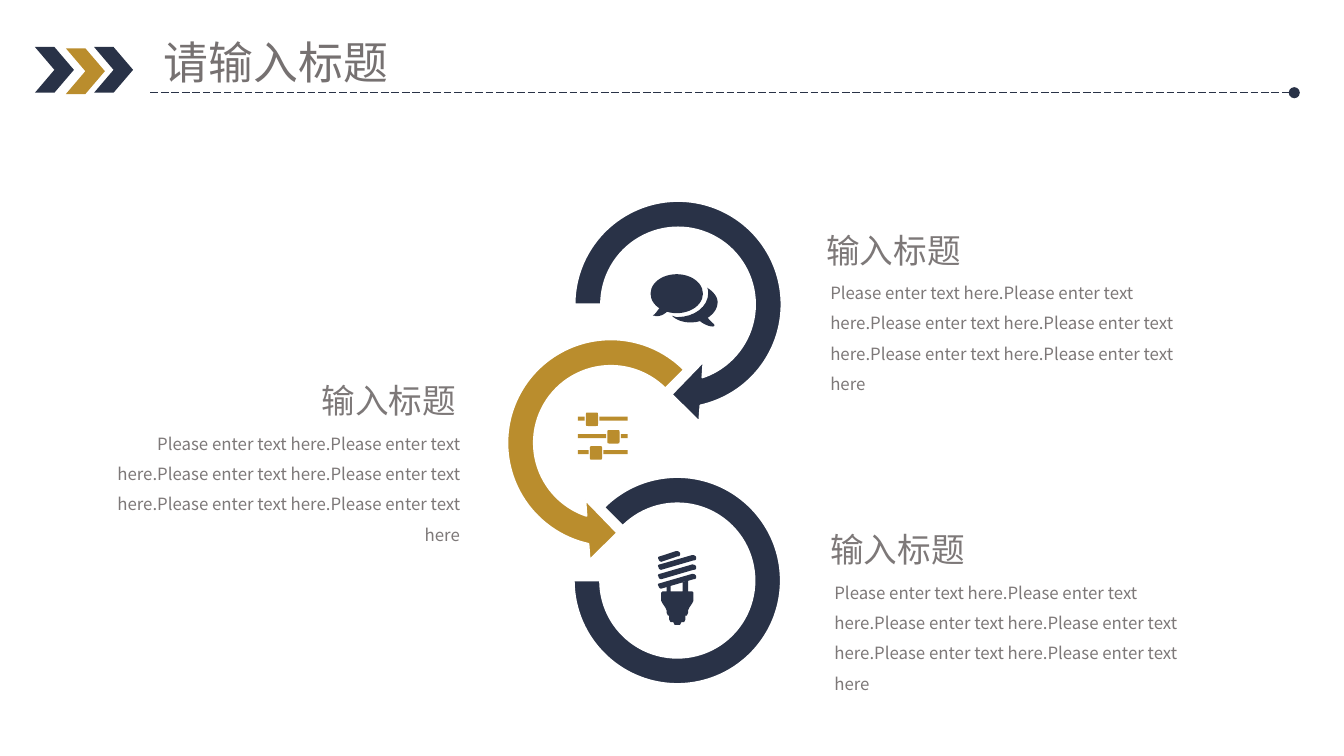
import pptx
import pptx.util
import pptx.dml.color
import pptx.enum.dml
import pptx.enum.shapes
import pptx.enum.text
import pptx.oxml.ns
from lxml import etree

Inches = pptx.util.Inches
SHAPE = pptx.enum.shapes.MSO_SHAPE
ALIGN = pptx.enum.text.PP_ALIGN
qn = pptx.oxml.ns.qn

COLORS = {"navy": "293247", "gold": "BA8D2D", "white": "FFFFFF",
          "title": "767171", "text": "7D7878"}
FONT = "Noto Sans CJK SC"

TITLE = "请输入标题"
HEADING = "输入标题"
BODY = "Please enter text here." * 5 + "Please enter text here"
ITEMS = [(6.05, 1.51, ALIGN.LEFT), (6.08, 3.74, ALIGN.LEFT), (0.49, 2.63, ALIGN.RIGHT)]

CHEVRONS = [(0.49, 0.36, "gold"), (0.7, 0.35, "navy"), (0.26, 0.35, "navy")]
RINGS = [
    (SHAPE.CIRCULAR_ARROW, 4.15, 1.37, 1.79, "navy", (0.11, 11.42, 45, 108, 0.125)),
    (SHAPE.LEFT_CIRCULAR_ARROW, 3.65, 2.4, 1.79, "gold", (0.11, 11.42, 63, 189, 0.125)),
    (SHAPE.BLOCK_ARC, 4.27, 3.55, 1.54, "navy", (135, 108, 0.127)),
]

BACK_BUBBLE = [(5.26, 2.14), (5.27, 2.15, 5.27, 2.17, 5.27, 2.18),
               (5.27, 2.28, 5.17, 2.36, 5.04, 2.36), (5.02, 2.36, 5.01, 2.35, 5, 2.35),
               (5.03, 2.38, 5.08, 2.4, 5.14, 2.4), (5.25, 2.4, 5.34, 2.33, 5.34, 2.25),
               (5.34, 2.21, 5.31, 2.17, 5.26, 2.14)]
FRONT_TAIL = [(4.93, 2.26), (4.91, 2.29, 4.88, 2.33, 4.87, 2.34),
              (4.85, 2.35, 4.86, 2.35, 4.87, 2.35), (4.89, 2.36, 4.95, 2.35, 4.99, 2.29),
              (5.03, 2.23, 4.93, 2.26, 4.93, 2.26)]
BACK_TAIL = [(5.25, 2.33), (5.26, 2.37, 5.3, 2.4, 5.31, 2.41),
             (5.32, 2.42, 5.32, 2.43, 5.3, 2.43), (5.29, 2.43, 5.23, 2.42, 5.19, 2.37),
             (5.15, 2.31, 5.25, 2.33, 5.25, 2.33)]

SLIDERS = [(4.36, 3.1), (4.52, 3.23), (4.39, 3.35)]
RAIL_LEFT, RAIL_RIGHT = 4.3, 4.67

BULB_CENTER = 5.04
BULB_PROFILE = [(0.11, 4.4), (0.12, 4.41), (0.12, 4.47), (0.11, 4.49), (0.09, 4.52),
                (0.08, 4.54), (0.08, 4.56), (0.07, 4.58), (0.06, 4.58), (0.06, 4.61),
                (0.05, 4.63), (0.03, 4.63), (0.02, 4.65)]
BULB_LEGS = [[(4.96, 4.37), (4.99, 4.36), (4.99, 4.4), (4.96, 4.4)],
             [(5.08, 4.33), (5.12, 4.32), (5.12, 4.4), (5.08, 4.4)]]


def rgb(name):
    return pptx.dml.color.RGBColor.from_string(COLORS[name])


def paint(sp, color, outline=None):
    sp.shadow.inherit = False
    sp.fill.solid()
    sp.fill.fore_color.rgb = rgb(color)
    if outline:
        sp.line.color.rgb = rgb(outline)
        sp.line.width = pptx.util.Pt(1)
    else:
        sp.line.fill.background()


def add_preset(shapes, kind, x, y, w, h, color, outline=None, adj=()):
    sp = shapes.add_shape(kind, Inches(x), Inches(y), Inches(w), Inches(h))
    for i, value in enumerate(adj):
        sp.adjustments[i] = value
    paint(sp, color, outline)


def flatten(contour, steps=8):
    points = [contour[0]]
    for seg in contour[1:]:
        if len(seg) == 2:
            points.append(seg)
            continue
        (x0, y0), (x1, y1, x2, y2, x3, y3) = points[-1], seg
        for i in range(1, steps + 1):
            t = i / steps
            u = 1 - t
            a, b, c, d = u ** 3, 3 * u * u * t, 3 * u * t * t, t ** 3
            points.append((a * x0 + b * x1 + c * x2 + d * x3,
                           a * y0 + b * y1 + c * y2 + d * y3))
    return [(Inches(x), Inches(y)) for x, y in points]


def add_outline(shapes, contours, color):
    first, *rest = [flatten(c) for c in contours]
    fb = shapes.build_freeform(*first[0], scale=1.0)
    fb.add_line_segments(first[1:], close=True)
    for points in rest:
        fb.move_to(*points[0])
        fb.add_line_segments(points[1:], close=True)
    paint(fb.convert_to_shape(), color)


def rect(x0, y0, x1, y1):
    return [(x0, y0), (x1, y0), (x1, y1), (x0, y1)]


def rounded(x0, y0, x1, y1, r=0.02):
    return [(x0 + r, y0), (x1 - r, y0), (x1, y0, x1, y0, x1, y0 + r),
            (x1, y1 - r), (x1, y1, x1, y1, x1 - r, y1),
            (x0 + r, y1), (x0, y1, x0, y1, x0, y1 - r),
            (x0, y0 + r), (x0, y0, x0, y0, x0 + r, y0)]


def coil(y, right=5.15, rise=0.07):
    low = y + rise
    return [(right, y), (4.91, low), (4.9, low, 4.89, low + 0.01, 4.9, low + 0.02),
            (4.9, low + 0.03, 4.91, low + 0.04, 4.92, low + 0.04),
            (right + 0.01, y + 0.04),
            (right + 0.03, y + 0.04, right + 0.03, y + 0.03, right + 0.03, y + 0.02),
            (right + 0.03, y + 0.01, right + 0.02, y, right, y)]


def write(sp, text, size, color, align=ALIGN.LEFT, spacing=1.0, wrap=True):
    tf = sp.text_frame
    tf.word_wrap = wrap
    tf.auto_size = pptx.enum.text.MSO_AUTO_SIZE.SHAPE_TO_FIT_TEXT
    tf.vertical_anchor = pptx.enum.text.MSO_ANCHOR.TOP
    p = tf.paragraphs[0]
    p.alignment = align
    p.line_spacing = spacing
    r = p.add_run()
    r.text = text
    r.font.size = pptx.util.Pt(size)
    r.font.color.rgb = rgb(color)
    r.font.name = FONT
    etree.SubElement(r.font._element, qn("a:ea")).set("typeface", FONT)


prs = pptx.Presentation()
prs.slide_width = Inches(10)
prs.slide_height = prs.slide_width * 9 // 16
s = prs.slides.add_slide(prs.slide_layouts[5])

title = s.shapes.title
title.left, title.top, title.width, title.height = map(Inches, (1.12, 0.21, 1.87, 0.5))
write(title, TITLE, 24, "title", wrap=False)

for x, y, color in CHEVRONS:
    add_preset(s.shapes, SHAPE.CHEVRON, x, y, 0.29, 0.34, color)

rule = s.shapes.add_connector(pptx.enum.shapes.MSO_CONNECTOR.STRAIGHT,
                              Inches(1.12), Inches(0.69), Inches(9.63), Inches(0.69))
rule.line.color.rgb = rgb("navy")
rule.line.width = pptx.util.Pt(0.5)
rule.line.dash_style = pptx.enum.dml.MSO_LINE.LONG_DASH
etree.SubElement(rule.line._get_or_add_ln(), qn("a:tailEnd")).set("type", "oval")
etree.SubElement(rule._element.spPr, qn("a:effectLst"))

for kind, x, y, size, color, adj in RINGS:
    add_preset(s.shapes, kind, x, y, size, size, color, "white", adj)

bubbles = s.shapes.add_group_shape().shapes
add_outline(bubbles, [BACK_BUBBLE], "navy")
add_preset(bubbles, SHAPE.OVAL, 4.84, 2.04, 0.39, 0.29, "navy")
for tail in (FRONT_TAIL, BACK_TAIL):
    add_outline(bubbles, [tail], "navy")

bulb = s.shapes.add_group_shape().shapes
base = [(BULB_CENTER + dx, y) for dx, y in BULB_PROFILE]
base += [(BULB_CENTER - dx, y) for dx, y in reversed(BULB_PROFILE)]
add_outline(bulb, [coil(4.27), *BULB_LEGS, base], "navy")
for y in (4.2, 4.13):
    add_outline(bulb, [coil(y)], "navy")
add_outline(bulb, [coil(4.1, right=5.03, rise=0.04)], "navy")

sliders = []
for x, y in SLIDERS:
    sliders += [rect(RAIL_LEFT, y, x - 0.01, y + 0.03),
                rounded(x, y - 0.03, x + 0.09, y + 0.07),
                rect(x + 0.1, y, RAIL_RIGHT, y + 0.03)]
add_outline(s.shapes, sliders, "gold")

for x, y, align in ITEMS:
    for text, size, dx, dy, h in ((BODY, 9, 0.03, 0.47, 0.78), (HEADING, 18, 0, 0, 0.56)):
        box = s.shapes.add_textbox(Inches(x + dx), Inches(y + dy), Inches(3), Inches(h))
        write(box, text, size, "text", align=align, spacing=1.5)

prs.save("out.pptx")
